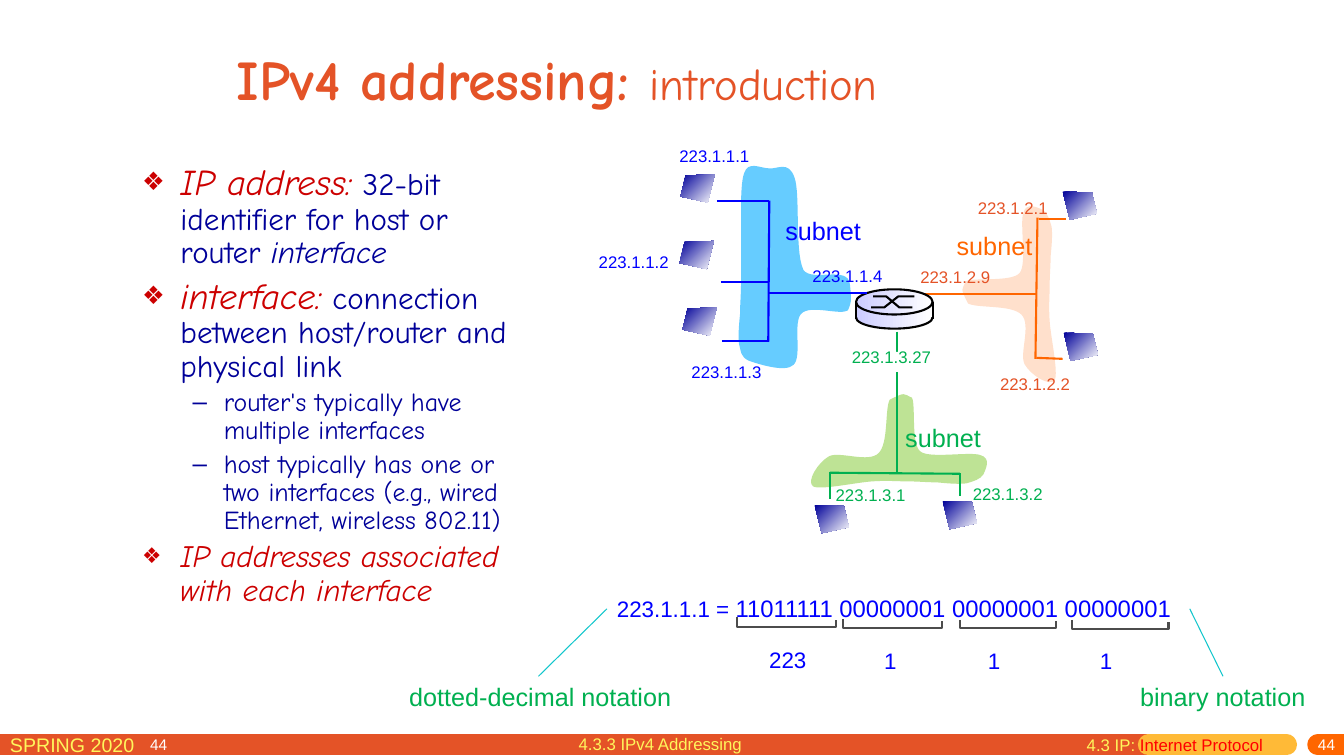
from lxml import etree
from pptx import Presentation
from pptx.dml.color import RGBColor
from pptx.enum.shapes import MSO_CONNECTOR as Connector, MSO_SHAPE as Shape
from pptx.enum.text import MSO_ANCHOR as Anchor, MSO_AUTO_SIZE as AutoSize, PP_ALIGN as Align
from pptx.oxml.ns import qn
from pptx.util import Inches, Pt

RED_ORANGE = RGBColor(0xE4, 0x53, 0x27)
ORANGE = RGBColor(0xFF, 0x66, 0x00)
AMBER = RGBColor(0xFF, 0xBA, 0x37)
YELLOW = RGBColor(0xFF, 0xF6, 0x5C)
RED = RGBColor(0xFF, 0x00, 0x00)
CRIMSON = RGBColor(0xCC, 0x00, 0x00)
NAVY = RGBColor(0x00, 0x00, 0x99)
BLUE = RGBColor(0x00, 0x00, 0xFF)
GREEN = RGBColor(0x00, 0xB0, 0x50)
TEAL = RGBColor(0x11, 0xC6, 0xCC)
SKY = RGBColor(0x66, 0xCC, 0xFF)
PEACH = RGBColor(0xFF, 0xE0, 0xCC)
LIME = RGBColor(0xBE, 0xE3, 0x95)
LAVENDER = RGBColor(0xCC, 0xCC, 0xFF)
GRAY = RGBColor(0x4C, 0x4C, 0x4C)
BLACK = RGBColor(0x00, 0x00, 0x00)
WHITE = RGBColor(0xFF, 0xFF, 0xFF)

# Outlines within their frames: a start point, then three points for each Bezier curve
LARGE_SUBNET = [
    (1.11, 1.23), (1.09, 1.04), (0.74, 1.21), (0.65, 1.09), (0.56, 0.91), (0.62, 0.33), (0.56, 0.17),
    (0.5, 0), (0.39, 0.09), (0.31, 0.08), (0.22, 0.08), (0.1, 0), (0.06, 0.13),
    (0.01, 0.27), (0.04, 0.71), (0.03, 0.89), (0.03, 1.07), (0.03, 1.12), (0.03, 1.22),
    (0.03, 1.33), (0.02, 1.44), (0.02, 1.53), (0.01, 1.63), (0, 1.74), (0.01, 1.82),
    (0.03, 1.89), (0.02, 1.95), (0.11, 1.99), (0.2, 2.02), (0.47, 2.11), (0.55, 2.03),
    (0.64, 1.95), (0.54, 1.6), (0.63, 1.52), (0.72, 1.43), (1.01, 1.54), (1.09, 1.49),
    (1.12, 1.41), (1.13, 1.42), (1.11, 1.23)]
SMALL_SUBNET = [
    (0.87, 0.78), (0.78, 0.73), (0.44, 0.77), (0.34, 0.67), (0.24, 0.57), (0.36, 0.29), (0.31, 0.18),
    (0.25, 0.07), (0.06, -0.05), (0.01, 0.02), (-0.03, 0.09), (0.05, 0.45), (0.06, 0.61),
    (0.07, 0.76), (0.06, 0.84), (0.06, 0.94), (0.06, 1.05), (0.05, 1.16), (0.05, 1.25),
    (0.04, 1.35), (0.03, 1.46), (0.04, 1.54), (0.06, 1.61), (0.08, 1.68), (0.13, 1.71),
    (0.18, 1.73), (0.29, 1.79), (0.32, 1.68), (0.36, 1.58), (0.28, 1.16), (0.36, 1.08),
    (0.44, 0.99), (0.82, 1.04), (0.89, 1), (0.93, 0.91), (0.95, 0.94), (0.87, 0.78)]
HOST = [(0, 0), (0.29, 0.01), (0.34, 0.22), (0.07, 0.28)]


def apply_format(target, values):
    for name, value in values.items():
        setattr(target, name, value)


def add_span(para, text, size, color, **values):
    span = para.add_run()
    span.text = text
    apply_format(span.font, {"name": "Arial", "size": Pt(size), **values})
    span.font.color.rgb = color


def add_label(page, left, top, width, height, spans, wrap=False, **frame_values):
    box = page.shapes.add_textbox(Inches(left), Inches(top), Inches(width), Inches(height))
    apply_format(box.text_frame, {"word_wrap": wrap, **frame_values})
    para = box.text_frame.paragraphs[0]
    for text, size, color in spans:
        add_span(para, text, size, color)
    return para


def add_line(page, start, end, color, width=1.5, cap="flat"):
    line = page.shapes.add_connector(Connector.STRAIGHT, *map(Inches, start + end))
    line.line.color.rgb = color
    line.line.width = Pt(width)
    line.line._get_or_add_ln().set("cap", cap)
    etree.SubElement(line._element.spPr, qn("a:effectLst"))


def paint(shape, fill=None, gradient=None, angle=0, outline=None):
    shape.shadow.inherit = False
    if gradient:
        shape.fill.gradient()
        shape.fill.gradient_angle = angle
        for stop, color in zip(shape.fill.gradient_stops, (gradient, WHITE)):
            stop.color.rgb = color
    elif fill:
        shape.fill.solid()
        shape.fill.fore_color.rgb = fill
    else:
        shape.fill.background()
    if outline:
        shape.line.color.rgb = outline
        shape.line.width = Pt(1.5)
    else:
        shape.line.fill.background()


def add_preset(page, kind, left, top, width, height, **colors):
    paint(page.shapes.add_shape(kind, Inches(left), Inches(top), Inches(width), Inches(height)), **colors)


def add_outline(page, points, close=False, **colors):
    points = [(Inches(x), Inches(y)) for x, y in points]
    builder = page.shapes.build_freeform(*points[0])
    builder.add_line_segments(points[1:], close=close)
    shape = builder.convert_to_shape()
    paint(shape, **colors)
    return shape


def add_subnet_area(page, points, left, top, width, height, rotation, color):
    area = add_outline(page, [(left, top), (left + width, top + height)], close=True, fill=color)
    area.rotation = rotation
    track = area._element.spPr.find(".//" + qn("a:path"))
    for step in list(track):
        track.remove(step)
    # One move, then the curves
    for first in (0, *range(1, len(points), 3)):
        step = etree.SubElement(track, qn("a:cubicBezTo" if first else "a:moveTo"))
        for x, y in points[first:first + 3 if first else 1]:
            etree.SubElement(step, qn("a:pt"), x=str(Inches(x)), y=str(Inches(y)))
    etree.SubElement(track, qn("a:close"))


def add_host(page, left, top, mirrored=False):
    points = [(left + (0.34 - x if mirrored else x), top + y) for x, y in HOST]
    add_outline(page, points, close=True, gradient=NAVY, angle=315)


def add_bullet(para, char, indent, hanging, color=None, percent=100):
    props = para._p.get_or_add_pPr()
    props.set("marL", str(Inches(indent)))
    props.set("indent", str(-Inches(hanging)))
    if color:
        holder = etree.SubElement(props, qn("a:buClr"))
        etree.SubElement(holder, qn("a:srgbClr")).set("val", str(color))
    etree.SubElement(props, qn("a:buSzPct")).set("val", str(percent * 1000))
    etree.SubElement(props, qn("a:buFont")).set("typeface", "Arial")
    etree.SubElement(props, qn("a:buChar")).set("char", char)


def fill_placeholder(box, left, top, width, height, anchor):
    apply_format(box, {"left": Inches(left), "top": Inches(top), "width": Inches(width), "height": Inches(height)})
    apply_format(box.text_frame, {"auto_size": AutoSize.NONE, "word_wrap": True, "vertical_anchor": anchor})
    return box.text_frame


def add_title_and_list(page):
    title = fill_placeholder(page.shapes.title, 2.25, 0.25, 8.5, 1.04, Anchor.MIDDLE).paragraphs[0]
    title.alignment = Align.LEFT
    add_span(title, "IPv4 addressing: ", 40, RED_ORANGE, name="Comic Neue", bold=True)
    add_span(title, "introduction", 32, RED_ORANGE, name="Comic Neue", bold=False)
    frame = fill_placeholder(page.placeholders[1], 1.31, 1.58, 4.04, 5.08, Anchor.TOP)
    items = [
        (0, [("IP address:", 25.9, CRIMSON, True), (" 32-bit identifier for host or router ", 22.2, NAVY, False),
             ("interface", 22.2, NAVY, True)]),
        (0, [("interface:", 25.9, CRIMSON, True),
             (" connection between host/router and physical link", 22.2, NAVY, False)]),
        (1, [("router's typically have multiple interfaces", 18.5, NAVY, False)]),
        (1, [("host typically has one or two interfaces (e.g., wired Ethernet, wireless 802.11)", 18.5, NAVY, False)]),
        (0, [("IP addresses associated with each interface", 22.2, CRIMSON, True)])]
    for number, (level, spans) in enumerate(items):
        para = frame.add_paragraph() if number else frame.paragraphs[0]
        apply_format(para, {"level": level, "line_spacing": 0.9, "space_before": None if number else Pt(0)})
        if level:
            add_bullet(para, "–", 0.81, 0.31)
        else:
            add_bullet(para, "❖", 0.38, 0.38, CRIMSON, 70)
        for text, size, color, italic in spans:
            add_span(para, text, size, color, name="Comic Neue", italic=italic)


def add_footer(page):
    for start, end, color in ((-0.18, 11.39, RED_ORANGE), (11.39, 12.76, AMBER), (13.07, 13.6, ORANGE)):
        add_line(page, (start, 7.39), (end, 7.39), color, 15, "rnd")
    add_label(page, 0, 7.22, 2.29, 0.31, [("SPRING 2020", 14, YELLOW)], True)
    add_label(page, 5.64, 7.23, 2.89, 0.31, [("4.3.3 IPv4 Addressing", 12, YELLOW)], True)
    add_label(page, 10.68, 7.24, 2.2, 0.31, [("4.3 IP: ", 12, YELLOW), ("Internet Protocol", 12, RED)], True)
    for left, top, width, height, align in ((10.75, 7.32, 2.59, 0.18, Align.RIGHT), (1.39, 7.33, 0.55, 0.15, Align.LEFT)):
        para = add_label(page, left, top, width, height, [("44", 11, WHITE)], True,
                         vertical_anchor=Anchor.MIDDLE, margin_top=0, margin_bottom=Inches(0.05))
        para.alignment = align


def add_router(page):
    add_preset(page, Shape.OVAL, 8.49, 3.04, 0.76, 0.22, gradient=LAVENDER, outline=BLACK)
    add_preset(page, Shape.RECTANGLE, 8.49, 3.02, 0.76, 0.13, gradient=LAVENDER)
    add_preset(page, Shape.OVAL, 8.49, 2.87, 0.76, 0.25, gradient=LAVENDER, outline=BLACK)
    add_outline(page, [(8.64, 3.05), (8.77, 3.05), (8.91, 2.94), (9.07, 2.94)], outline=BLACK)
    add_outline(page, [(8.66, 2.94), (8.79, 2.94), (8.92, 3.05), (9.05, 3.05)], outline=BLACK)
    for x in (8.49, 9.25):
        add_line(page, (x, 3), (x, 3.16), BLACK)


def add_network(page):
    # Subnet areas
    add_subnet_area(page, SMALL_SUBNET, 8.45, 3.5, 0.93, 1.74, 270, LIME)
    add_subnet_area(page, SMALL_SUBNET, 9.54, 2.05, 0.93, 1.74, 180, PEACH)
    add_subnet_area(page, LARGE_SUBNET, 7.32, 1.59, 1.14, 2.11, 0, SKY)
    # Links, and the white grounds of two labels
    for color, links in (
            (ORANGE, [(9.16, 2.92, 10.28, 2.92), (10.3, 2.17, 10.57, 2.17), (10.28, 3.55, 10.54, 3.56),
                      (10.29, 2.16, 10.27, 3.56)]),
            (GREEN, [(8.9, 3.29, 8.9, 4.7), (8.23, 4.95, 8.23, 4.68), (9.52, 4.92, 9.52, 4.69),
                     (8.23, 4.69, 9.52, 4.7)])):
        for link in links:
            add_line(page, link[:2], link[2:], color)
    for left, top, width in ((5.93, 2.54, 0.91), (8.45, 3.49, 0.93)):
        add_preset(page, Shape.RECTANGLE, left, top, width, 0.2, fill=WHITE)
    # Hosts and router
    for left, top in ((6.75, 1.73), (6.74, 2.39), (6.77, 3.05)):
        add_host(page, left, top, mirrored=True)
    for left, top in ((10.54, 1.9), (10.55, 3.3), (9.35, 4.97), (8.08, 5.01)):
        add_host(page, left, top)
    add_router(page)
    for link in ((7.11, 1.99, 7.63, 1.99), (7.15, 2.8, 7.63, 2.8), (7.16, 3.38, 7.63, 3.38),
                 (7.63, 2.91, 8.6, 2.91), (7.62, 3.39, 7.63, 1.99)):
        add_line(page, link[:2], link[2:], BLUE)
    # Addresses and subnet names
    for text, left, top, color in (
            ("223.1.1.1", 6.64, 1.4, BLUE), ("223.1.1.2", 5.84, 2.45, BLUE), ("223.1.1.3", 6.76, 3.54, BLUE),
            ("223.1.1.4", 7.96, 2.59, BLUE), ("223.1.2.9", 9.03, 2.6, RED_ORANGE),
            ("223.1.2.2", 9.82, 3.66, RED_ORANGE), ("223.1.2.1", 9.6, 1.91, RED_ORANGE),
            ("223.1.3.2", 9.55, 4.75, GREEN), ("223.1.3.1", 8.19, 4.76, GREEN), ("223.1.3.27", 8.35, 3.39, GREEN)):
        add_label(page, left, top, 0.1 * len(text), 0.3, [(text, 12, color)])
    for left, top, color in ((7.69, 2.09, BLUE), (9.39, 2.24, ORANGE), (8.88, 4.14, GREEN)):
        add_label(page, left, top, 0.96, 0.4, [("subnet", 18, color)])


def add_notation(page):
    add_label(page, 6.02, 5.84, 5.77, 0.39,
              [("223.1.1.1 = ", 16, BLUE), ("11011111 00000001 00000001 00000001", 17, BLUE)])
    for left, top, right, bottom in ((7.31, 6.12, 8.29, 6.22), (8.36, 6.14, 9.34, 6.23),
                                     (9.52, 6.15, 10.47, 6.23), (10.63, 6.15, 11.59, 6.24)):
        add_outline(page, [(left, top), (left, bottom), (right, bottom), (right, bottom - 0.07)], outline=GRAY)
    for text, left, top, width in (("223", 7.53, 6.36, 0.57), ("1", 8.67, 6.37, 0.32), ("1", 9.7, 6.37, 0.32),
                                   ("1", 10.81, 6.37, 0.32)):
        add_label(page, left, top, width, 0.37, [(text, 16, BLUE)])
    add_label(page, 3.89, 6.71, 2.89, 0.4, [(" dotted-decimal notation", 18, GREEN)])
    add_label(page, 11.14, 6.71, 2, 0.4, [(" binary notation", 18, GREEN)])
    add_line(page, (5.34, 6.71), (6.02, 6.04), TEAL, 0.75)
    add_line(page, (11.8, 6.04), (12.13, 6.71), TEAL, 0.75)


def main():
    deck = Presentation()
    deck.slide_width, deck.slide_height = Inches(13.33), Inches(7.5)
    page = deck.slides.add_slide(deck.slide_layouts[1])
    add_footer(page)
    add_title_and_list(page)
    add_network(page)
    add_notation(page)
    deck.save("out.pptx")


if __name__ == "__main__":
    main()
